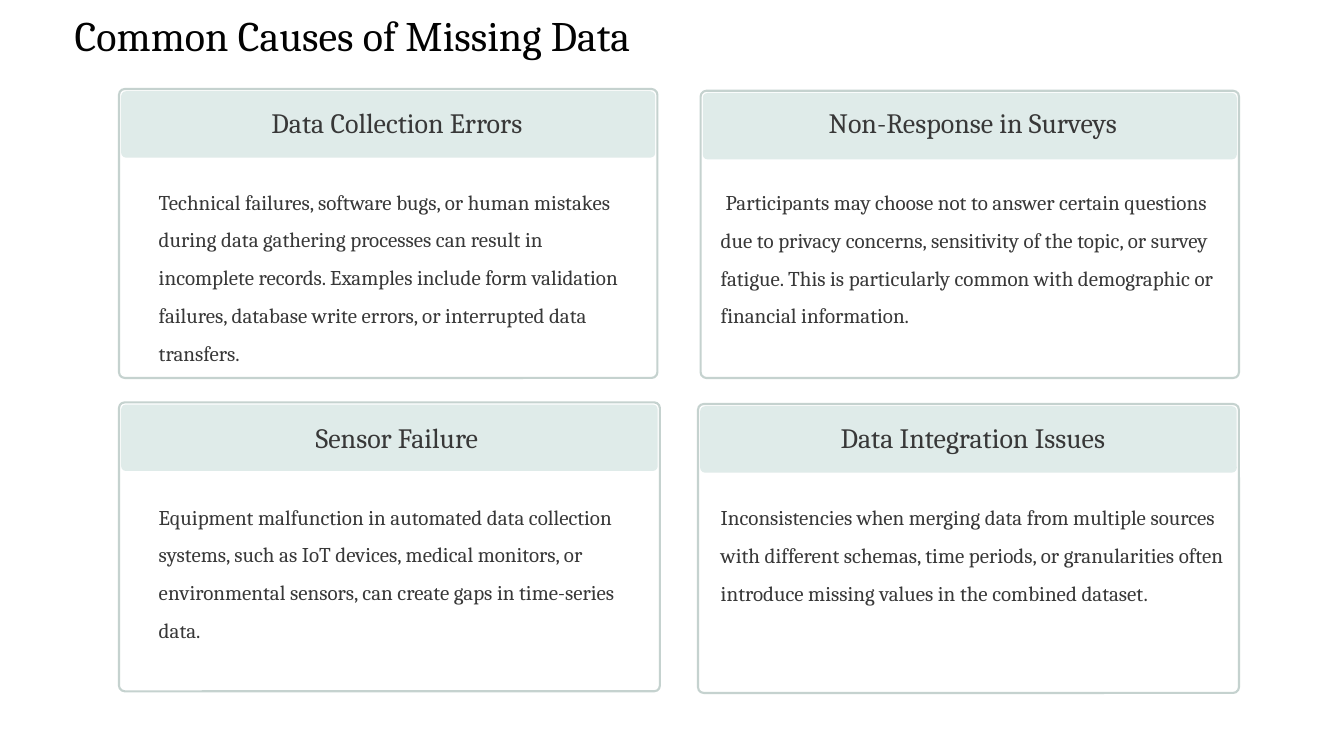
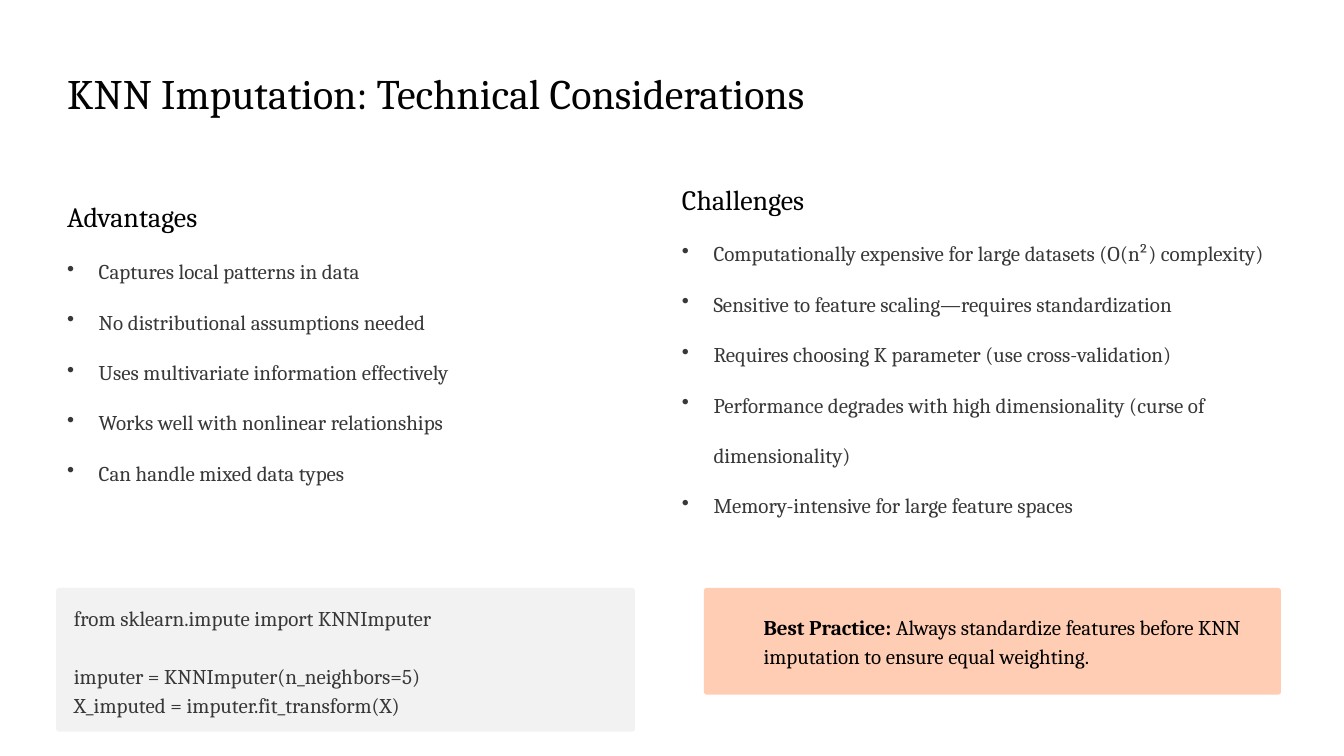
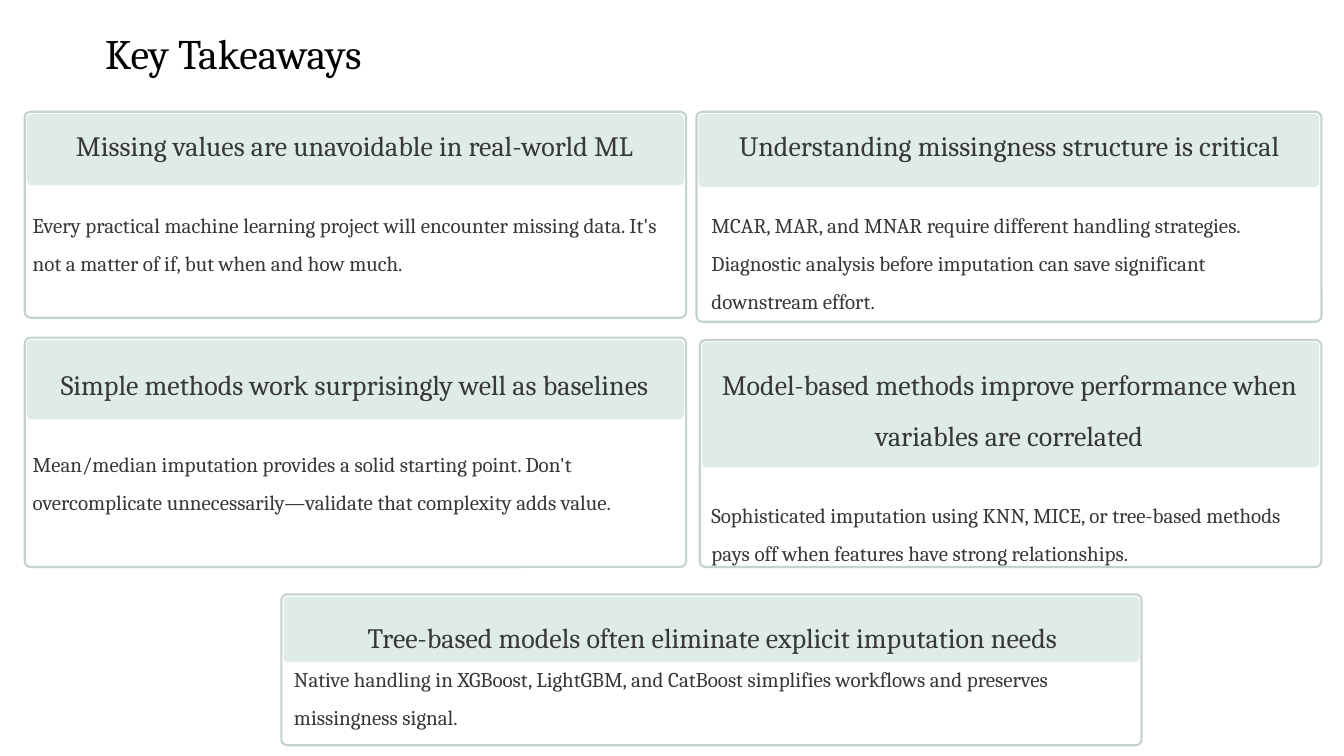
import pptx
import pptx.dml.color
import pptx.enum.shapes
import pptx.enum.text
import pptx.oxml.ns
import pptx.util
from lxml import etree

Pt = pptx.util.Pt
RGB = pptx.dml.color.RGBColor
ALIGN = pptx.enum.text.PP_ALIGN

# Shared style
FONT = "Cambria"
TITLE_COLOR = RGB(0x02, 0x02, 0x02)
TEXT_COLOR = RGB(0x38, 0x38, 0x38)
BLACK = RGB(0x00, 0x00, 0x00)
FRAME_COLOR = RGB(0xC5, 0xD2, 0xCF)
BAND_COLOR = RGB(0xDF, 0xEB, 0xE9)
CODE_FILL = RGB(0xF2, 0xF2, 0xF2)
CALLOUT_FILL = RGB(0xFF, 0xCD, 0xB3)
SLIDE_W, SLIDE_H = 1152, 648
TITLE_SIZE, HEADING_SIZE, BODY_SIZE = 36, 24, 18
TITLE_W, TITLE_LEADING = 1040, 51
CODE_LEADING = 25
CARD_RADIUS, BAND_RADIUS, PANEL_RADIUS = 5, 4, 2.4
BAND_INSET = 1.9
BODY_GAP = 32.4
BULLET_INDENT = 27

# Content: frame and text are (left, top, width, height), lengths in points
CAUSES = {
    "title": ("Common Causes of Missing Data", 64, 0.7),
    "cards": [
        {"heading": "Data Collection Errors",
         "body": "Technical failures, software bugs, or human mistakes during data "
                 "gathering processes can result in incomplete records. Examples "
                 "include form validation failures, database write errors, or "
                 "interrupted data transfers.",
         "frame": (102, 76.3, 461.5, 247.7), "band": 56.9,
         "text": (136.1, 75.6, 408.2, 240)},
        {"heading": "Non-Response in Surveys",
         "body": "Participants may choose not to answer certain questions due to "
                 "privacy concerns, sensitivity of the topic, or survey fatigue. This "
                 "is particularly common with demographic or financial information.",
         "frame": (600.5, 77.8, 461.5, 246.2), "band": 56.9,
         "text": (617.8, 76.1, 432, 240), "first_indent": 4.2},
        {"heading": "Sensor Failure",
         "body": "Equipment malfunction in automated data collection systems, such as "
                 "IoT devices, medical monitors, or environmental sensors, can create "
                 "gaps in time-series data.",
         "frame": (102, 344.9, 463.7, 247.7), "band": 56.9,
         "text": (136.1, 345.6, 408.2, 240)},
        {"heading": "Data Integration Issues",
         "body": "Inconsistencies when merging data from multiple sources with "
                 "different schemas, time periods, or granularities often introduce "
                 "missing values in the combined dataset.",
         "frame": (598.3, 346.3, 463.7, 247.7), "band": 56.9,
         "text": (617.8, 346.1, 432, 240)},
    ],
}

KNN_TITLE = ("KNN Imputation: Technical Considerations", 57.6, 50.4)
KNN_LISTS = [
    ("Advantages", (57.6, 142.6, 446.4, 275), [
        "Captures local patterns in data",
        "No distributional assumptions needed",
        "Uses multivariate information effectively",
        "Works well with nonlinear relationships",
        "Can handle mixed data types",
    ]),
    ("Challenges", (584.6, 127.4, 516.2, 318), [
        "Computationally expensive for large datasets (O(n²) complexity)",
        "Sensitive to feature scaling—requires standardization",
        "Requires choosing K parameter (use cross-validation)",
        "Performance degrades with high dimensionality (curse of dimensionality)",
        "Memory-intensive for large feature spaces",
    ]),
]
CODE_BOX = (48.2, 504, 496.1, 123.1)
# Each line of code with the space before it
CODE_LINES = [
    ("from sklearn.impute import KNNImputer", 0),
    ("imputer = KNNImputer(n_neighbors=5)", CODE_LEADING),
    ("X_imputed = imputer.fit_transform(X)", 0),
]
CALLOUT_BOX = (603.4, 504, 494.6, 91.4)
CALLOUT_LABEL = "Best Practice:"
CALLOUT_TEXT = " Always standardize features before KNN imputation to ensure equal weighting."

TAKEAWAYS = {
    "title": ("Key Takeaways", 90, 15.8),
    "cards": [
        {"heading": "Missing values are unavoidable in real-world ML",
         "body": "Every practical machine learning project will encounter missing "
                 "data. It's not a matter of if, but when and how much.",
         "frame": (21.2, 95.8, 566.9, 176.6), "band": 61.2,
         "text": (28.1, 95.8, 551.5, 160)},
        {"heading": "Understanding missingness structure is critical",
         "body": "MCAR, MAR, and MNAR require different handling strategies. "
                 "Diagnostic analysis before imputation can save significant "
                 "downstream effort.",
         "frame": (597, 95.8, 535.7, 180), "band": 62.6,
         "text": (609.8, 95.8, 510.5, 175)},
        {"heading": "Simple methods work surprisingly well as baselines",
         "body": "Mean/median imputation provides a solid starting point. Don't "
                 "overcomplicate unnecessarily—validate that complexity adds value.",
         "frame": (21.2, 289.4, 566.9, 196.6), "band": 68.2,
         "text": (28.1, 301, 551.5, 160)},
        {"heading": "Model-based methods improve performance when variables are "
                    "correlated",
         "body": "Sophisticated imputation using KNN, MICE, or tree-based methods "
                 "pays off when features have strong relationships.",
         "frame": (599.8, 291.4, 532.8, 194.6), "band": 107.3,
         "text": (609.8, 301, 510.5, 185)},
        {"heading": "Tree-based models often eliminate explicit imputation needs",
         "body": "Native handling in XGBoost, LightGBM, and CatBoost simplifies "
                 "workflows and preserves missingness signal.",
         "frame": (241.2, 509.4, 737.3, 129.4), "band": 56.2,
         "text": (252, 517.7, 717.1, 110), "gap": 0},
    ],
}


def place(box):
    return [Pt(length) for length in box]


def clear_margins(frame):
    frame.word_wrap = True
    frame.vertical_anchor = pptx.enum.text.MSO_ANCHOR.TOP
    frame.margin_left = frame.margin_top = frame.margin_right = frame.margin_bottom = 0


def style_run(run, size, color, bold=False):
    run.font.name = FONT
    run.font.size = Pt(size)
    run.font.color.rgb = color
    run.font.bold = bold


def write(paragraph, text, size, color, leading, before=0, align=ALIGN.LEFT, bold=False):
    paragraph.text = text
    paragraph.alignment = align
    paragraph.line_spacing = leading
    paragraph.space_before = Pt(before)
    style_run(paragraph.runs[0], size, color, bold)


def indent(paragraph, left, first, bullet=None):
    properties = paragraph._p.get_or_add_pPr()
    properties.set("marL", str(Pt(left)))
    properties.set("indent", str(Pt(first)))
    if bullet:
        mark = etree.SubElement(properties, pptx.oxml.ns.qn("a:buChar"))
        mark.set("char", bullet)


def add_rounded(slide, box, radius, fill=None, line=None):
    shape = slide.shapes.add_shape(
        pptx.enum.shapes.MSO_SHAPE.ROUNDED_RECTANGLE, *place(box))
    shape.shadow.inherit = False
    shape.adjustments[0] = radius / min(box[2:])
    if fill is None:
        shape.fill.background()
    else:
        shape.fill.solid()
        shape.fill.fore_color.rgb = fill
    if line is None:
        shape.line.fill.background()
    else:
        shape.line.color.rgb = line
        shape.line.width = Pt(1.8)
    return shape


def add_text_frame(slide, box):
    frame = slide.shapes.add_textbox(*place(box)).text_frame
    clear_margins(frame)
    return frame


def add_panel(slide, box, fill, left, top, right):
    frame = add_rounded(slide, box, PANEL_RADIUS, fill=fill).text_frame
    clear_margins(frame)
    frame.margin_left, frame.margin_top, frame.margin_right = place((left, top, right))
    return frame


def add_titled_slide(deck, text, left, top):
    slide = deck.slides.add_slide(deck.slide_layouts[5])
    title = slide.shapes.title
    title.left, title.top, title.width, title.height = place(
        (left, top, TITLE_W, TITLE_LEADING))
    clear_margins(title.text_frame)
    title.text_frame.auto_size = pptx.enum.text.MSO_AUTO_SIZE.NONE
    write(title.text_frame.paragraphs[0], text, TITLE_SIZE, TITLE_COLOR,
          Pt(TITLE_LEADING))
    return slide


def add_card(slide, card):
    left, top, width, _ = card["frame"]
    add_rounded(slide, card["frame"], CARD_RADIUS, line=FRAME_COLOR)
    band = (left + BAND_INSET, top + BAND_INSET, width - 2 * BAND_INSET, card["band"])
    add_rounded(slide, band, BAND_RADIUS, fill=BAND_COLOR)
    frame = add_text_frame(slide, card["text"])
    write(frame.paragraphs[0], card["heading"], HEADING_SIZE, TEXT_COLOR, 1.5,
          align=ALIGN.CENTER)
    body = frame.add_paragraph()
    indent(body, 0, card.get("first_indent", 0))
    write(body, card["body"], BODY_SIZE, TEXT_COLOR, 1.5, card.get("gap", BODY_GAP))


def add_card_slide(deck, content):
    slide = add_titled_slide(deck, *content["title"])
    for card in content["cards"]:
        add_card(slide, card)


def add_knn_slide(deck):
    slide = add_titled_slide(deck, *KNN_TITLE)

    # Advantages and challenges
    for heading, box, points in KNN_LISTS:
        frame = add_text_frame(slide, box)
        write(frame.paragraphs[0], heading, HEADING_SIZE, TITLE_COLOR, 2.0)
        for point in points:
            item = frame.add_paragraph()
            indent(item, BULLET_INDENT, -BULLET_INDENT, "•")
            write(item, point, BODY_SIZE, TEXT_COLOR, 2.0)

    # Code sample
    code = add_panel(slide, CODE_BOX, CODE_FILL, 14.5, 10.8, 15)
    for number, (line, before) in enumerate(CODE_LINES):
        paragraph = code.add_paragraph() if number else code.paragraphs[0]
        write(paragraph, line, BODY_SIZE, TEXT_COLOR, Pt(CODE_LEADING), before)

    # Best practice callout
    callout = add_panel(slide, CALLOUT_BOX, CALLOUT_FILL, 50.4, 18.7, 14.4)
    advice = callout.paragraphs[0]
    write(advice, CALLOUT_LABEL, BODY_SIZE, BLACK, Pt(CODE_LEADING), bold=True)
    detail = advice.add_run()
    detail.text = CALLOUT_TEXT
    style_run(detail, BODY_SIZE, BLACK)


def main():
    deck = pptx.Presentation()
    deck.slide_width, deck.slide_height = Pt(SLIDE_W), Pt(SLIDE_H)
    add_card_slide(deck, CAUSES)
    add_knn_slide(deck)
    add_card_slide(deck, TAKEAWAYS)
    deck.save("out.pptx")


if __name__ == "__main__":
    main()
